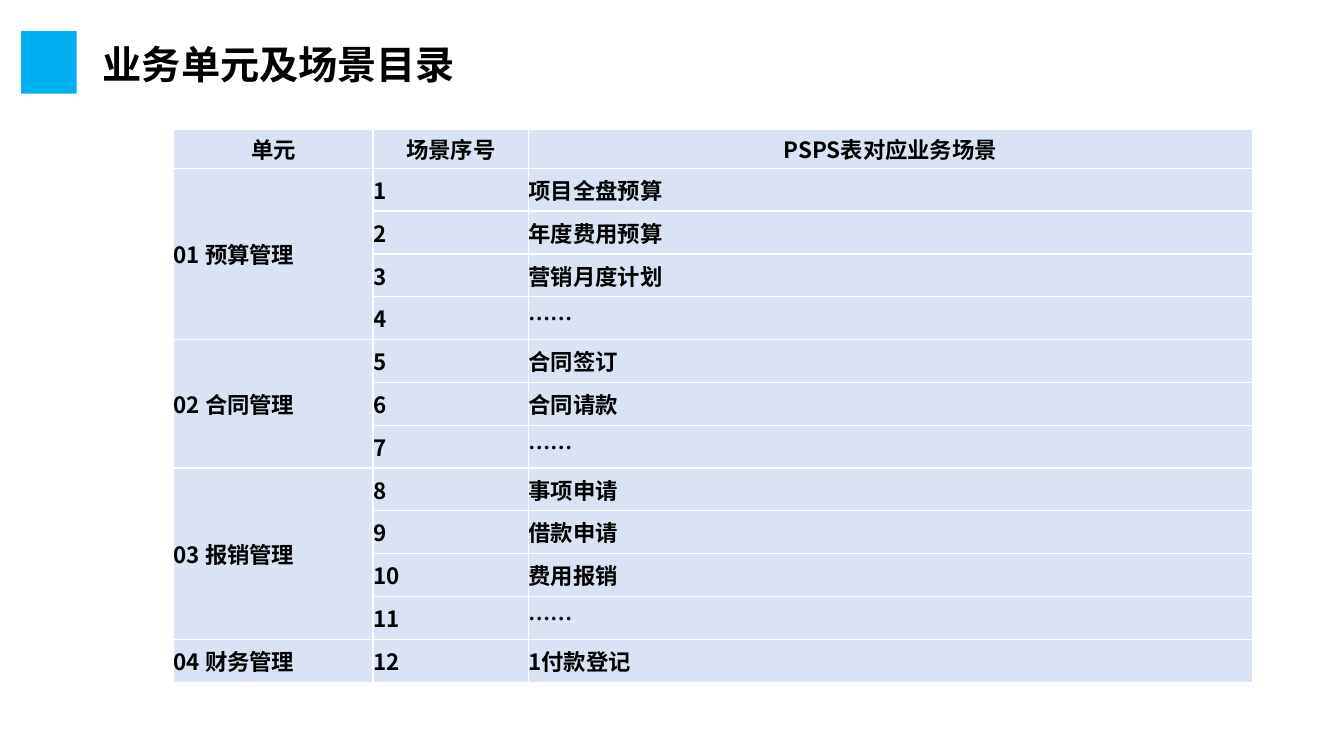
from lxml.etree import SubElement
from pptx import Presentation
from pptx.dml.color import RGBColor
from pptx.enum.shapes import MSO_SHAPE
from pptx.enum.text import MSO_ANCHOR, PP_ALIGN
from pptx.oxml.ns import qn
from pptx.util import Pt

TITLE = "业务单元及场景目录"
HEADERS = ["单元", "场景序号", "PSPS表对应业务场景"]
UNITS = [
    ("01 预算管理", ["项目全盘预算", "年度费用预算", "营销月度计划", "……"]),
    ("02 合同管理", ["合同签订", "合同请款", "……"]),
    ("03 报销管理", ["事项申请", "借款申请", "费用报销", "……"]),
    ("04 财务管理", ["1付款登记"]),
]
FONT = "Noto Sans CJK SC"
BLACK, WHITE, ACCENT, CELL_FILL = "000000", "FFFFFF", "00B0F0", "DAE3F3"
COLUMN_WIDTHS = [142.5, 111, 517]
HEADER_HEIGHT, ROW_HEIGHT = 28, 30.6
TABLE_LEFT, TABLE_TOP = 124, 92.2
TITLE_BOX = {"left": Pt(66.2), "top": Pt(25.9), "width": Pt(828), "height": Pt(44)}
TITLE_FRAME = {"vertical_anchor": MSO_ANCHOR.MIDDLE, "word_wrap": True}
TITLE_PARAGRAPH = {"alignment": PP_ALIGN.LEFT, "line_spacing": 0.9}
CELL_FORMAT = {
    "vertical_anchor": MSO_ANCHOR.MIDDLE,
    "margin_left": 0, "margin_right": 0, "margin_top": 0, "margin_bottom": 0,
}
TABLE_FLAGS = {"first_row": False, "horz_banding": False}


def color(value):
    return RGBColor.from_string(value)


def apply(target, values):
    for name, value in values.items():
        setattr(target, name, value)


def write(paragraph, text, size):
    run = paragraph.add_run()
    run.text = text
    apply(run.font, {"name": FONT, "size": Pt(size), "bold": True})
    run.font.color.rgb = color(BLACK)
    SubElement(run.font._element, qn("a:ea"), typeface=FONT)


def add_borders(cell):
    properties = cell._tc.get_or_add_tcPr()
    for index, side in enumerate(("a:lnL", "a:lnR", "a:lnT", "a:lnB")):
        line = SubElement(properties, qn(side), w=str(Pt(1)))
        fill = SubElement(line, qn("a:solidFill"))
        SubElement(fill, qn("a:srgbClr"), val=WHITE)
        properties.insert(index, line)


def add_title(slide):
    marker = slide.shapes.add_shape(MSO_SHAPE.RECTANGLE, Pt(15.1), Pt(22.3), Pt(39.6), Pt(44.6))
    marker.shadow.inherit = False
    marker.fill.solid()
    marker.fill.fore_color.rgb = color(ACCENT)
    marker.line.fill.background()
    title = slide.shapes.title
    apply(title, TITLE_BOX)
    apply(title.text_frame, TITLE_FRAME)
    paragraph = title.text_frame.paragraphs[0]
    apply(paragraph, TITLE_PARAGRAPH)
    write(paragraph, TITLE, 28)


def add_directory(slide):
    rows = [HEADERS]
    spans = []
    for unit, scenes in UNITS:
        spans.append((len(rows), len(rows) + len(scenes) - 1))
        for index, scene in enumerate(scenes):
            rows.append([unit if index == 0 else "", str(len(rows)), scene])

    heights = [HEADER_HEIGHT] + [ROW_HEIGHT] * (len(rows) - 1)
    table = slide.shapes.add_table(
        len(rows), len(HEADERS), Pt(TABLE_LEFT), Pt(TABLE_TOP),
        Pt(sum(COLUMN_WIDTHS)), Pt(sum(heights)),
    ).table
    apply(table, TABLE_FLAGS)
    for column, width in zip(table.columns, COLUMN_WIDTHS):
        column.width = Pt(width)
    for row, height in zip(table.rows, heights):
        row.height = Pt(height)

    for row_index, values in enumerate(rows):
        for column_index, text in enumerate(values):
            cell = table.cell(row_index, column_index)
            apply(cell, CELL_FORMAT)
            cell.fill.solid()
            cell.fill.fore_color.rgb = color(CELL_FILL)
            add_borders(cell)
            paragraph = cell.text_frame.paragraphs[0]
            paragraph.alignment = PP_ALIGN.LEFT if row_index else PP_ALIGN.CENTER
            if text:
                write(paragraph, text, 16)
    for first, last in spans:
        if last > first:
            table.cell(first, 0).merge(table.cell(last, 0))


def main():
    presentation = Presentation()
    apply(presentation, {"slide_width": Pt(960), "slide_height": Pt(540)})
    slide = presentation.slides.add_slide(presentation.slide_layouts[5])
    add_title(slide)
    add_directory(slide)
    presentation.save("out.pptx")


if __name__ == "__main__":
    main()
